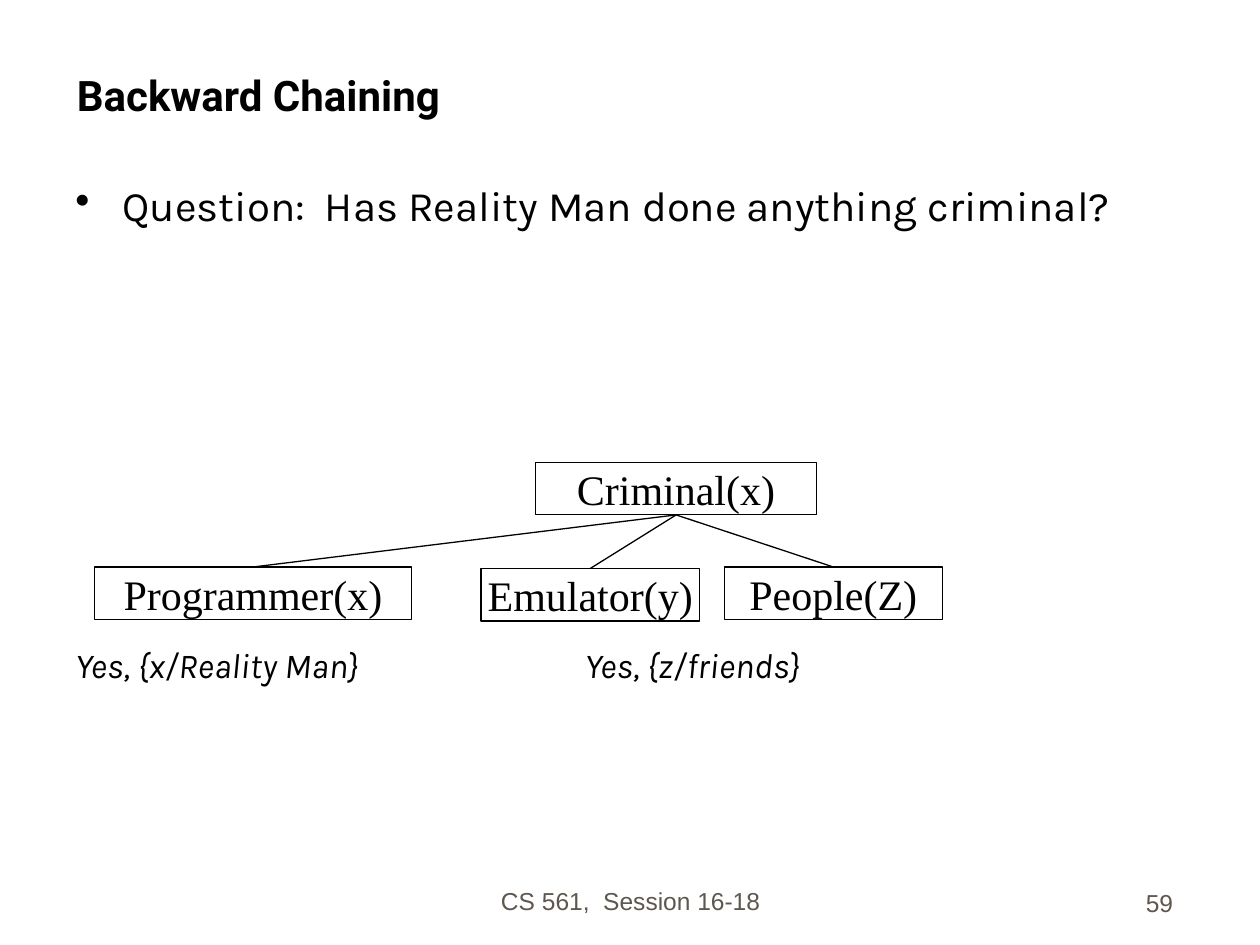
"""Build the Backward Chaining slide with its proof tree."""
import pptx
import pptx.dml.color
import pptx.enum.shapes
import pptx.enum.text
import pptx.oxml.ns
import pptx.util
from lxml import etree

Cm, Pt = pptx.util.Cm, pptx.util.Pt
ALIGN = pptx.enum.text.PP_ALIGN
ANCHOR = pptx.enum.text.MSO_ANCHOR
COLORS = {"ink": "000000", "footer": "5E574E"}
INDENT = Cm(0.95)
NODE_HEIGHT = 1.06


def rgb(name):
    """Return the named colour."""
    return pptx.dml.color.RGBColor.from_string(COLORS[name])


def add_child(parent, tag, **attributes):
    """Append a drawing element to a parent element."""
    return etree.SubElement(parent, pptx.oxml.ns.qn(tag), **attributes)


def write(shape, text, font="Karla", size=24, color="ink", bold=False, italic=False,
          align=ALIGN.LEFT, anchor=ANCHOR.TOP, wrap=True, bullet=None, tab=None, spacing=1.0):
    """Fill a shape with one formatted paragraph."""
    frame = shape.text_frame
    frame.word_wrap = wrap
    frame.vertical_anchor = anchor
    para = frame.paragraphs[0]
    para.alignment = align
    para.line_spacing = spacing
    properties = para._p.get_or_add_pPr()
    if bullet:
        properties.set("marL", str(INDENT))
        properties.set("indent", str(-INDENT))
        bullet_color = add_child(properties, "a:buClr")
        add_child(bullet_color, "a:srgbClr", val=COLORS[color])
        add_child(properties, "a:buChar", char=bullet)
    if tab:
        stops = add_child(properties, "a:tabLst")
        add_child(stops, "a:tab", pos=str(Cm(tab)), algn="l")
    span = para.add_run()
    span.text = text
    span.font.name = font
    span.font.size = Pt(size)
    span.font.bold = bold
    span.font.italic = italic
    span.font.color.rgb = rgb(color)


def add_text(page, text, left, top, width, height, **style):
    """Place a text box on the page."""
    box = page.shapes.add_textbox(Cm(left), Cm(top), Cm(width), Cm(height))
    write(box, text, **style)


def add_node(page, text, left, top, width):
    """Place an outlined predicate of the proof tree."""
    node = page.shapes.add_shape(pptx.enum.shapes.MSO_SHAPE.RECTANGLE,
                                 Cm(left), Cm(top), Cm(width), Cm(NODE_HEIGHT))
    node.shadow.inherit = False
    node.fill.background()
    node.line.color.rgb = rgb("ink")
    node.line.width = Pt(0.75)
    write(node, text, font="Times New Roman", align=ALIGN.CENTER,
          anchor=ANCHOR.MIDDLE, wrap=False)
    return node


def add_branch(page, parent, child):
    """Join the bottom of a parent node to the top of its child."""
    branch = page.shapes.add_connector(pptx.enum.shapes.MSO_CONNECTOR.STRAIGHT, 0, 0, 0, 0)
    branch.begin_connect(parent, 2)
    branch.end_connect(child, 0)
    branch.line.color.rgb = rgb("ink")
    branch.line.width = Pt(0.75)
    add_child(branch._element.spPr, "a:effectLst")


def main():
    """Build and save the slide."""
    deck = pptx.Presentation()
    deck.slide_width, deck.slide_height = Cm(25.4), Cm(19.05)
    page = deck.slides.add_slide(deck.slide_layouts[6])

    footer = dict(font="Arial", size=14, color="footer", anchor=ANCHOR.BOTTOM)
    add_text(page, "CS 561,  Session 16-18", 8.69, 17.3, 8.05, 1.27,
             align=ALIGN.CENTER, **footer)
    add_text(page, "59", 18.62, 17.35, 5.28, 1.27, align=ALIGN.RIGHT, **footer)
    add_text(page, "Backward Chaining", 1.3, 0.64, 22.66, 1.9,
             font="Roboto", bold=True, anchor=ANCHOR.BOTTOM)
    add_text(page, "Question:  Has Reality Man done anything criminal?",
             1.27, 3.61, 22.71, 1.27, bullet="•", spacing=0.9)
    add_text(page, "Yes, {x/Reality Man}\tYes, {z/friends}",
             1.27, 12.84, 22.71, 1.1, size=20, italic=True, tab=10.27)

    goal = add_node(page, "Criminal(x)", 10.8, 9.32, 5.66)
    subgoals = [("Programmer(x)", 1.9, 11.43, 6.4),
                ("Emulator(y)", 9.7, 11.46, 4.4),
                ("People(Z)", 14.6, 11.43, 4.4)]
    for subgoal in subgoals:
        add_branch(page, goal, add_node(page, *subgoal))

    deck.save("out.pptx")


if __name__ == "__main__":
    main()
